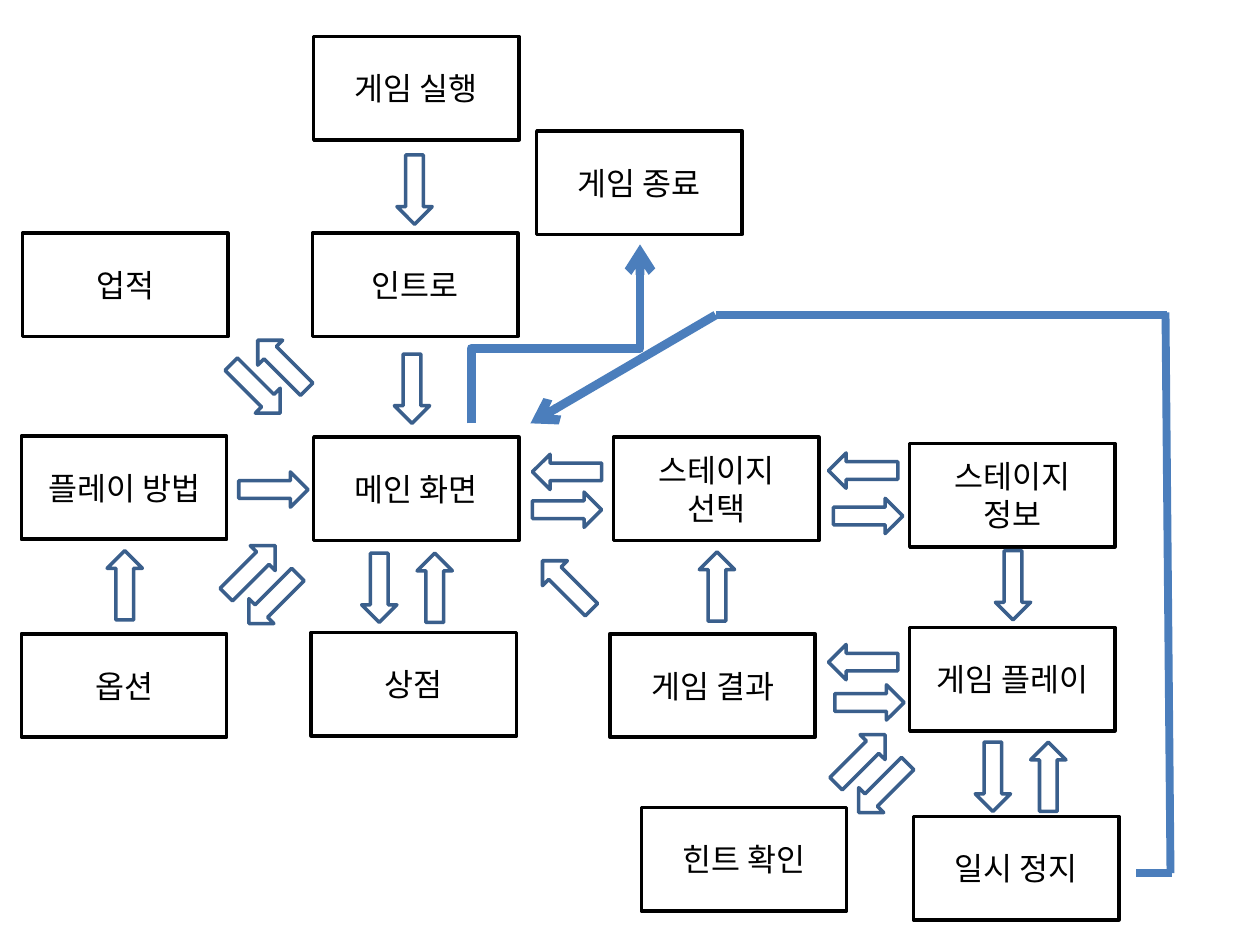
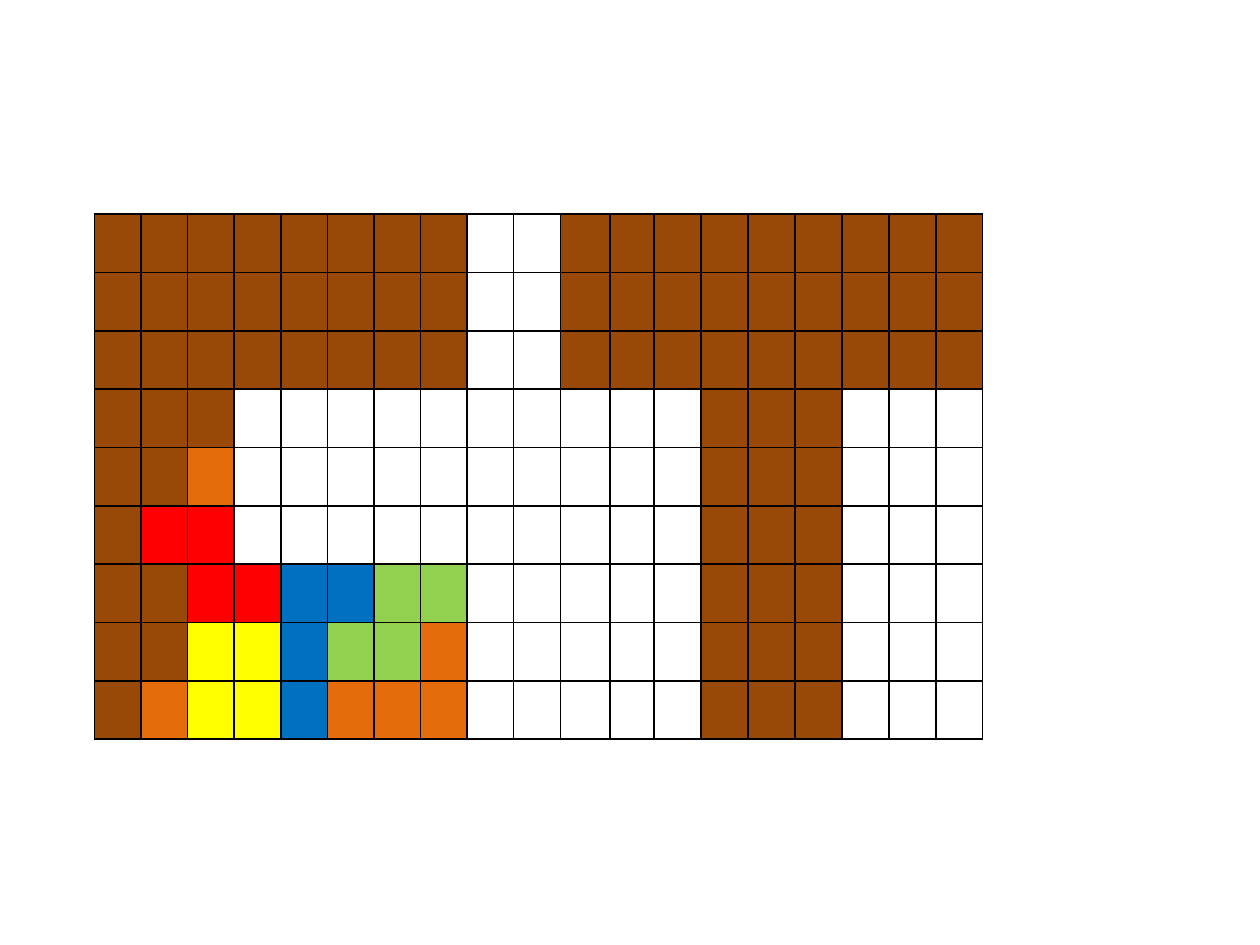
from pptx import Presentation
from pptx.dml.color import RGBColor
from pptx.enum.shapes import MSO_CONNECTOR as Line, MSO_SHAPE as Shape
from pptx.enum.text import MSO_ANCHOR as Anchor, PP_ALIGN as Align
from pptx.oxml.ns import qn
from pptx.util import Inches, Pt
from lxml.etree import SubElement

FONT = "Noto Sans CJK KR"
BLACK, WHITE, ARROW, ROUTE = "000000", "FFFFFF", "3A5F8C", "4B7EBC"
BOX_W, BOX_H = 16.3, 8.2
ARROW_W, ARROW_H = 2.8, 5.5
BLOCKS = {"#": "984807", ".": WHITE, "o": "E46C0A", "r": "FF0000",
          "b": "0070C0", "g": "92D050", "y": "FFFF00"}


def rgb(value):
    return RGBColor.from_string(value)


class Deck:
    COLS, ROWS = 100, 75

    def __init__(self):
        self.prs = Presentation()
        self.prs.slide_width, self.prs.slide_height = Inches(10), Inches(7.5)

    def new_slide(self):
        self.slide = self.prs.slides.add_slide(self.prs.slide_layouts[6])

    def x(self, cols):
        return round(self.prs.slide_width * cols / self.COLS)

    def y(self, rows):
        return round(self.prs.slide_height * rows / self.ROWS)

    def area(self, left, top, width, height):
        return self.x(left), self.y(top), self.x(width), self.y(height)

    def shape(self, kind, left, top, width, height, line):
        sp = self.slide.shapes.add_shape(kind, *self.area(left, top, width, height))
        sp.shadow.inherit = False
        sp.fill.solid()
        sp.fill.fore_color.rgb = rgb(WHITE)
        sp.line.color.rgb = rgb(line)
        sp.line.width = Pt(2)
        return sp

    def set_text(self, tf, text):
        tf.word_wrap = True
        tf.text = text
        for p in tf.paragraphs:
            p.alignment = Align.CENTER
            p.font.size = Pt(18)
            p.font.name = FONT
            p.font.color.rgb = rgb(BLACK)

    def box(self, left, top, text=None):
        sp = self.shape(Shape.RECTANGLE, left, top, BOX_W, BOX_H, BLACK)
        if text:
            sp.text_frame.vertical_anchor = Anchor.MIDDLE
            self.set_text(sp.text_frame, text)

    def label(self, left, top, width, height, text):
        sp = self.slide.shapes.add_textbox(*self.area(left, top, width, height))
        self.set_text(sp.text_frame, text)

    def arrow(self, left, top, angle):
        sp = self.shape(Shape.DOWN_ARROW, left, top, ARROW_W, ARROW_H, ARROW)
        sp.rotation = angle

    def line(self, start, end, width=4.5, head=False, kind=Line.STRAIGHT):
        c = self.slide.shapes.add_connector(
            kind, self.x(start[0]), self.y(start[1]), self.x(end[0]), self.y(end[1]))
        c.line.color.rgb = rgb(ROUTE)
        c.line.width = Pt(width)
        sp_pr = c._element.spPr
        if head:
            SubElement(sp_pr.find(qn("a:ln")), qn("a:tailEnd"), type="arrow")
        SubElement(sp_pr, qn("a:effectLst"))
        return c

    def upward_elbow(self, start, end, bend):
        mid_x, mid_y = (start[0] + end[0]) / 2, (start[1] + end[1]) / 2
        half_w, half_h = (start[1] - end[1]) / 2, (end[0] - start[0]) / 2
        c = self.line((mid_x + half_w, mid_y + half_h), (mid_x - half_w, mid_y - half_h),
                      5, True, Line.ELBOW)
        sp_pr = c._element.spPr
        sp_pr.find(qn("a:xfrm")).set("rot", str(90 * 60000))
        guides = sp_pr.find(qn("a:prstGeom")).find(qn("a:avLst"))
        SubElement(guides, qn("a:gd"), name="adj1", fmla=f"val {round(bend * 100000)}")

    def border(self, cell):
        tc_pr = cell._tc.get_or_add_tcPr()
        for side in ("lnL", "lnR", "lnT", "lnB"):
            ln = SubElement(tc_pr, qn(f"a:{side}"), w=str(Pt(1)))
            SubElement(SubElement(ln, qn("a:solidFill")), qn("a:srgbClr"), val=BLACK)

    def block_map(self, left, top, widths, height, pattern):
        table = self.slide.shapes.add_table(
            len(pattern), len(widths), *self.area(left, top, sum(widths), height)).table
        table.first_row = table.horz_banding = False
        for col, width in zip(table.columns, widths):
            col.width = self.x(width)
        for i, codes in enumerate(pattern):
            table.rows[i].height = self.y(height / len(pattern))
            for j, code in enumerate(codes):
                cell = table.cell(i, j)
                self.border(cell)
                cell.fill.solid()
                cell.fill.fore_color.rgb = rgb(BLOCKS[code])


deck = Deck()

deck.new_slide()
deck.box(24.8, 18.5)
deck.label(24.8, 20.6, BOX_W, 4, "인트로")
for left, top, text in [
    (24.9, 2.9, "게임 실행"), (42.6, 10.4, "게임 종료"), (1.8, 18.5, "업적"),
    (1.7, 34.6, "플레이 방법"), (24.9, 34.7, "메인 화면"),
    (48.7, 34.7, "스테이지\n선택"), (72.2, 35.2, "스테이지\n정보"),
    (1.7, 50.3, "옵션"), (24.7, 50.2, "상점"), (48.4, 50.3, "게임 결과"),
    (72.2, 49.8, "게임 플레이"), (50.9, 64.1, "힌트 확인"), (72.5, 64.8, "일시 정지"),
]:
    deck.box(left, top, text)

ARROWS = {
    0: [(31.5, 12.3), (31.3, 28.1), (28.7, 43.9), (79, 43.7), (77.4, 58.9)],
    45: [(20.3, 44.8), (68.7, 59.8)],
    90: [(43.6, 34.7), (67.1, 34.6), (67.1, 49.8)],
    135: [(21, 26.2), (43.6, 43.7)],
    180: [(8.5, 43.7), (33.1, 43.9), (55.5, 43.8), (81.8, 58.9)],
    225: [(18.5, 42.5), (66.9, 57.5)],
    270: [(20.3, 36.1), (43.6, 37.7), (67.5, 38.2), (67.6, 53)],
    315: [(18.9, 28.1)],
}
for angle, places in ARROWS.items():
    for left, top in places:
        deck.arrow(left, top, angle)

deck.line((90.2, 69.3), (93, 69.3))
deck.line((92.9, 69.3), (92.5, 24.8))
deck.line((92.6, 25), (56.8, 25))
deck.line((56.8, 25), (42.1, 33.6), 5, True)
deck.upward_elbow((37.4, 33.6), (50.8, 19.4), 0.42)

deck.new_slide()
MAP_TOP, MAP_HEIGHT = 17, 41.7
deck.block_map(7.5, MAP_TOP, [3.7] * 10, MAP_HEIGHT, ["########.."] * 3 + [
    "###.......",
    "##o.......",
    "#rr.......",
    "##rrbbgg..",
    "##yybggo..",
    "#oyybooo..",
])
deck.block_map(44.5, MAP_TOP, [3.9, 3.5] + [3.73] * 7, MAP_HEIGHT,
               ["#########"] * 3 + ["...###..."] * 6)

deck.prs.save("out.pptx")
